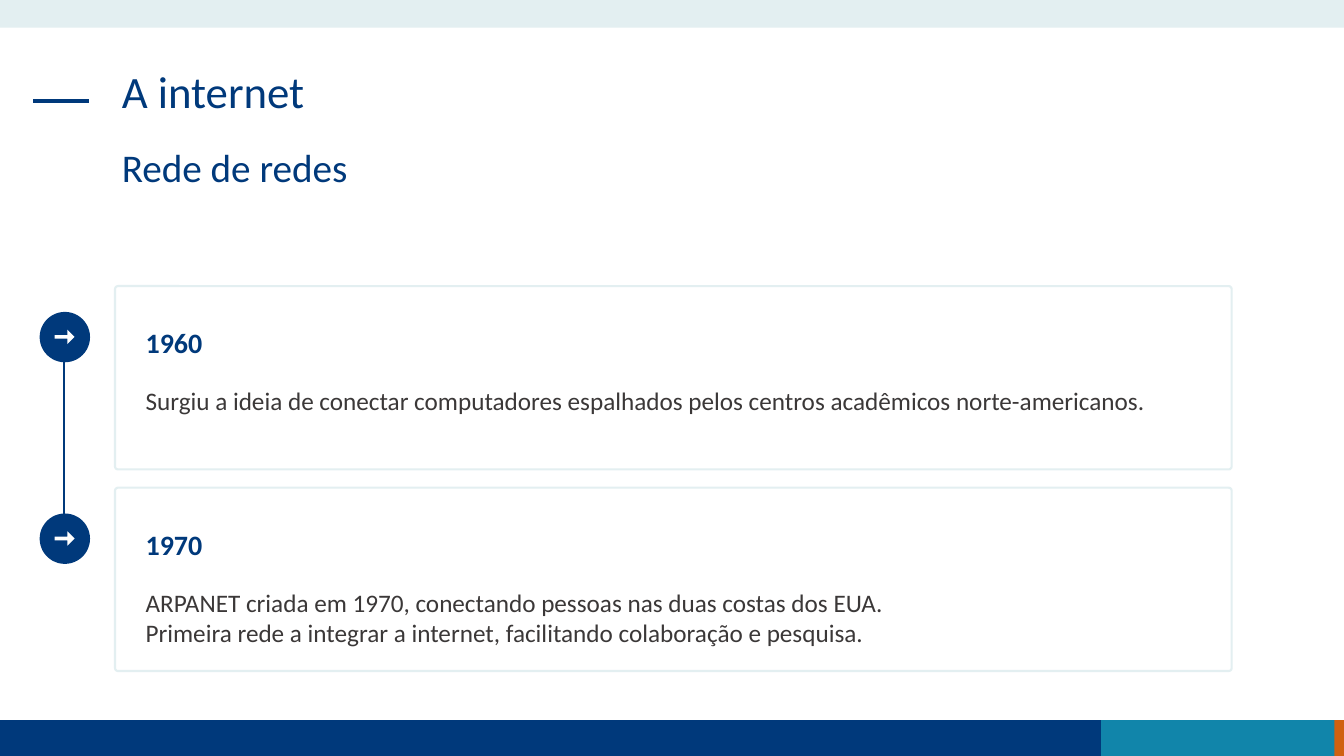
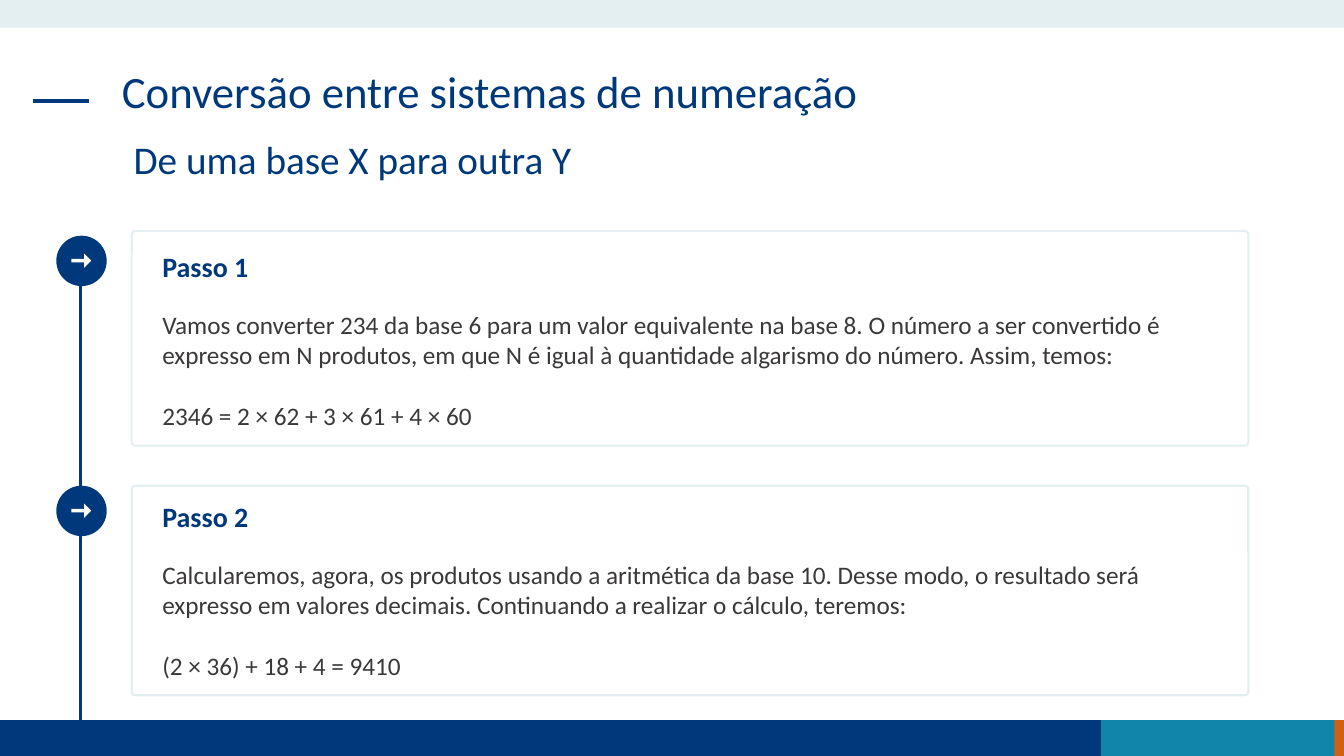
from lxml import etree
from pptx import Presentation
from pptx.dml.color import RGBColor
from pptx.enum import shapes
from pptx.oxml.ns import qn
from pptx.util import Cm, Pt

NAVY = RGBColor(0x00, 0x39, 0x7B)
TEAL = RGBColor(0x11, 0x85, 0xAA)
RUST = RGBColor(0xD0, 0x61, 0x10)
PALE = RGBColor(0xE3, 0xEF, 0xF1)
GREY = RGBColor(0x3B, 0x38, 0x38)
WHITE = RGBColor(0xFF, 0xFF, 0xFF)
FONT = "Calibri"
KIND = shapes.MSO_SHAPE

WIDTH, HEIGHT = 33.87, 19.05
FOOT = 18.15  # top of the footer band
DISC = 1.27


class Deck:
    """Holds the presentation, its style and the current slide."""

    def __init__(self):
        self.prs = Presentation()
        self.prs.slide_width, self.prs.slide_height = Cm(WIDTH), Cm(HEIGHT)
        self.slide = None

    def start(self, title, sub, left, top):
        """Add a slide with bands, title and a subtitle at left, top."""
        self.slide = self.prs.slides.add_slide(self.prs.slide_layouts[6])
        deep = HEIGHT - FOOT
        self.shape(KIND.RECTANGLE, 32.8, FOOT, WIDTH - 32.8, deep, RUST)
        self.shape(KIND.RECTANGLE, 0, FOOT, 27.75, deep, NAVY)
        self.shape(KIND.RECTANGLE, 27.75, FOOT, 5.88, deep, TEAL)
        self.shape(KIND.RECTANGLE, 0, 0, WIDTH, 0.7, PALE)
        self.line(0.84, 2.54, 2.24, 2.54, 3)
        self.text([title], 2.82, 1.63, 28.19, 2.39, size=32, lead=0.9)
        self.text([sub], left, top, 28.19, 2.39, size=28, lead=0.9)

    def shape(self, kind, x, y, w, h, fill=None, edge=None, adjust=()):
        item = self.slide.shapes.add_shape(kind, Cm(x), Cm(y), Cm(w), Cm(h))
        item.shadow.inherit = False
        for i, value in enumerate(adjust):
            item.adjustments[i] = value
        if fill is None:
            item.fill.background()
        else:
            item.fill.solid()
            item.fill.fore_color.rgb = fill
        if edge is None:
            item.line.fill.background()
        else:
            item.line.color.rgb = edge
            item.line.width = Pt(1.5)

    def line(self, x1, y1, x2, y2, width=1.5):
        item = self.slide.shapes.add_connector(
            shapes.MSO_CONNECTOR.STRAIGHT, Cm(x1), Cm(y1), Cm(x2), Cm(y2))
        item.line.color.rgb = NAVY
        item.line.width = Pt(width)
        etree.SubElement(item._element.spPr, qn("a:effectLst"))

    def text(self, paras, x, y, w, h, size=18, color=NAVY, bold=False,
             lead=None, gap=0):
        """Write paragraphs, with gap points between them."""
        frame = self.slide.shapes.add_textbox(
            Cm(x), Cm(y), Cm(w), Cm(h)).text_frame
        frame.word_wrap = True
        for i, words in enumerate(paras):
            para = frame.add_paragraph() if i else frame.paragraphs[0]
            para.text = words
            if i and gap:
                para.space_before = Pt(gap)
            if lead:
                para.line_spacing = lead
            font = para.font
            font.name, font.size, font.bold = FONT, Pt(size), bold
            font.color.rgb = color

    def step(self, x, y, card, head, body, gap=0):
        """Draw a disc at x, y with its card, given as (top, height)."""
        self.shape(KIND.OVAL, x, y, DISC, DISC, NAVY)
        self.shape(KIND.RIGHT_ARROW, x + 0.38, y + 0.45, 0.5, 0.36, WHITE,
                   adjust=(0.255, 0.5))
        top, high = card
        self.shape(KIND.ROUNDED_RECTANGLE, x + 1.9, top, 28.14, high,
                   edge=PALE, adjust=(0.016,))
        self.text([head], x + 2.42, y + 0.22, 26.77, 1.12, size=20, bold=True)
        self.text(body, x + 2.42, y + 1.73, 26.77, 1.8, color=GREY, gap=gap)

    def steps(self, x, end, items, gap=0):
        """Draw a line down to end, then the steps along it."""
        self.line(x + 0.61, items[0][0] + DISC, x + 0.61, end)
        for item in items:
            self.step(x, *item, gap=gap)


def main():
    deck = Deck()

    deck.start("A internet", "Rede de redes", 2.82, 3.63)
    deck.steps(1, 13, [
        (7.86, (7.21, 4.62), "1960", [
            "Surgiu a ideia de conectar computadores espalhados pelos centros "
            "acadêmicos norte-americanos."]),
        (12.94, (12.29, 4.62), "1970", [
            "ARPANET criada em 1970, conectando pessoas nas duas costas dos "
            "EUA.",
            "Primeira rede a integrar a internet, facilitando colaboração e "
            "pesquisa."]),
    ])

    deck.start("Conversão entre sistemas de numeração",
               "De uma base X para outra Y", 3.12, 3.43)
    deck.steps(1.42, FOOT, [
        (5.94, (5.82, 5.41), "Passo 1", [
            "Vamos converter 234 da base 6 para um valor equivalente na base "
            "8. O número a ser convertido é expresso em N produtos, em que N "
            "é igual à quantidade algarismo do número. Assim, temos:",
            "2346 = 2 × 62 + 3 × 61 + 4 × 60"]),
        (12.24, (12.24, 5.28), "Passo 2", [
            "Calcularemos, agora, os produtos usando a aritmética da base 10. "
            "Desse modo, o resultado será expresso em valores decimais. "
            "Continuando a realizar o cálculo, teremos:",
            "(2 × 36) + 18 + 4 = 9410"]),
    ], gap=22)

    deck.prs.save("out.pptx")


if __name__ == "__main__":
    main()
